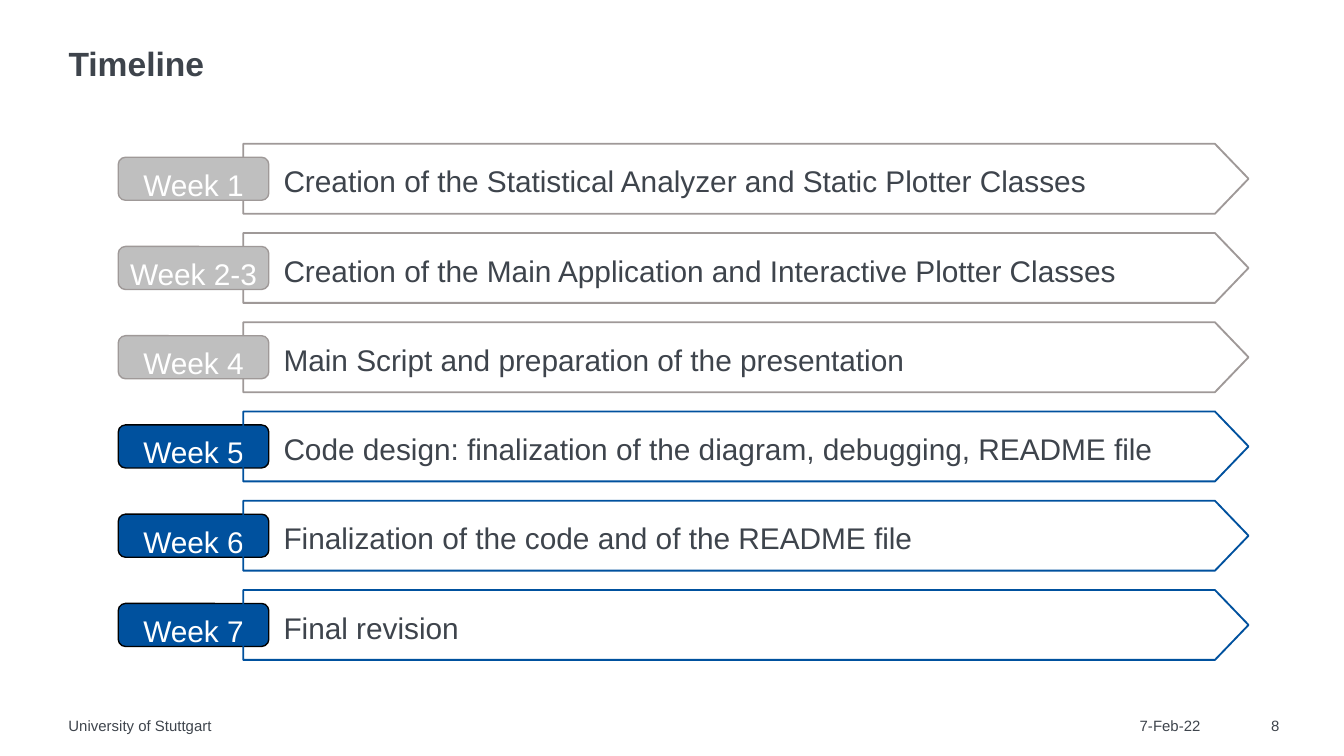
from dataclasses import dataclass

from pptx import Presentation
from pptx.dml.color import RGBColor
from pptx.enum.shapes import MSO_SHAPE
from pptx.enum.text import MSO_ANCHOR, PP_ALIGN
from pptx.util import Inches, Pt


@dataclass(frozen=True)
class Theme:
    font: str = "Arial"
    ink: str = "3E444C"
    white: str = "FFFFFF"
    done_fill: str = "BFBFBF"
    done_line: str = "9F9998"
    open_fill: str = "00519E"
    open_line: str = "000000"
    title_size: float = 18
    body_size: float = 16
    footer_size: float = 8


def write(shape, text, size, color, font, bold=False, align=PP_ALIGN.LEFT,
          anchor=MSO_ANCHOR.TOP, spacing=1.0):
    frame = shape.text_frame
    frame.word_wrap = True
    frame.vertical_anchor = anchor
    frame.margin_left = frame.margin_right = 0
    frame.margin_top = frame.margin_bottom = 0
    paragraph = frame.paragraphs[0]
    paragraph.alignment = align
    paragraph.line_spacing = spacing
    run = paragraph.add_run()
    run.text = text
    run.font.name = font
    run.font.size = Pt(size)
    run.font.bold = bold
    run.font.color.rgb = RGBColor.from_string(color)


class TimelineSlide:
    def __init__(self, slide, theme):
        self.slide = slide
        self.theme = theme

    def label(self, text, box, size, **style):
        holder = self.slide.shapes.add_textbox(*map(Inches, box))
        write(holder, text, size, self.theme.ink, self.theme.font, **style)

    def outline(self, preset, box, line, width, fill=None):
        shape = self.slide.shapes.add_shape(preset, *map(Inches, box))
        shape.shadow.inherit = False
        if fill:
            shape.fill.solid()
            shape.fill.fore_color.rgb = RGBColor.from_string(fill)
        else:
            shape.fill.background()
        shape.line.color.rgb = RGBColor.from_string(line)
        shape.line.width = Pt(width)
        return shape

    def arrow(self, top, line):
        arrow = self.outline(MSO_SHAPE.RIGHT_ARROW, (1.81, top, 7.48, 0.52), line, 1)
        arrow.adjustments[0] = 1
        arrow.adjustments[1] = 0.48

    def badge(self, week, top, fill, line):
        badge = self.outline(MSO_SHAPE.ROUNDED_RECTANGLE,
                             (0.88, top + 0.1, 1.12, 0.32), line, 0.75, fill)
        write(badge, week, self.theme.body_size, self.theme.white, self.theme.font,
              align=PP_ALIGN.CENTER, spacing=1.2)

    def milestone(self, week, task, top, done):
        theme = self.theme
        if done:
            self.arrow(top, theme.done_line)
            self.badge(week, top, theme.done_fill, theme.done_line)
        else:
            self.badge(week, top, theme.open_fill, theme.open_line)
            self.arrow(top, theme.open_fill)
        self.label(task, (2.11, top + 0.09, 6.76, 0.29), theme.body_size, spacing=1.2)


MILESTONES = [
    ("Week 1", "Creation of the Statistical Analyzer and Static Plotter Classes", True),
    ("Week 2-3", "Creation of the Main Application and Interactive Plotter Classes", True),
    ("Week 4", "Main Script and preparation of the presentation", True),
    ("Week 5", "Code design: finalization of the diagram, debugging, README file", False),
    ("Week 6", "Finalization of the code and of the README file", False),
    ("Week 7", "Final revision", False),
]
FIRST_TOP = 1.07
LAST_TOP = 4.39


def main():
    deck = Presentation()
    deck.slide_width = Inches(10)
    deck.slide_height = Inches(10 * 9 / 16)
    theme = Theme()
    timeline = TimelineSlide(deck.slides.add_slide(deck.slide_layouts[6]), theme)

    timeline.label("Timeline", (0.51, 0.35, 9.02, 0.28), theme.title_size,
                   bold=True, anchor=MSO_ANCHOR.MIDDLE, spacing=0.9)

    pitch = (LAST_TOP - FIRST_TOP) / (len(MILESTONES) - 1)
    for row, (week, task, done) in enumerate(MILESTONES):
        timeline.milestone(week, task, FIRST_TOP + row * pitch, done)

    for text, left, width, align in [
        ("University of Stuttgart", 0.51, 6.63, PP_ALIGN.LEFT),
        ("7-Feb-22", 8.48, 0.58, PP_ALIGN.LEFT),
        ("8", 9.28, 0.24, PP_ALIGN.RIGHT),
    ]:
        timeline.label(text, (left, 5.33, width, 0.13), theme.footer_size, align=align)

    deck.save("out.pptx")


if __name__ == "__main__":
    main()
